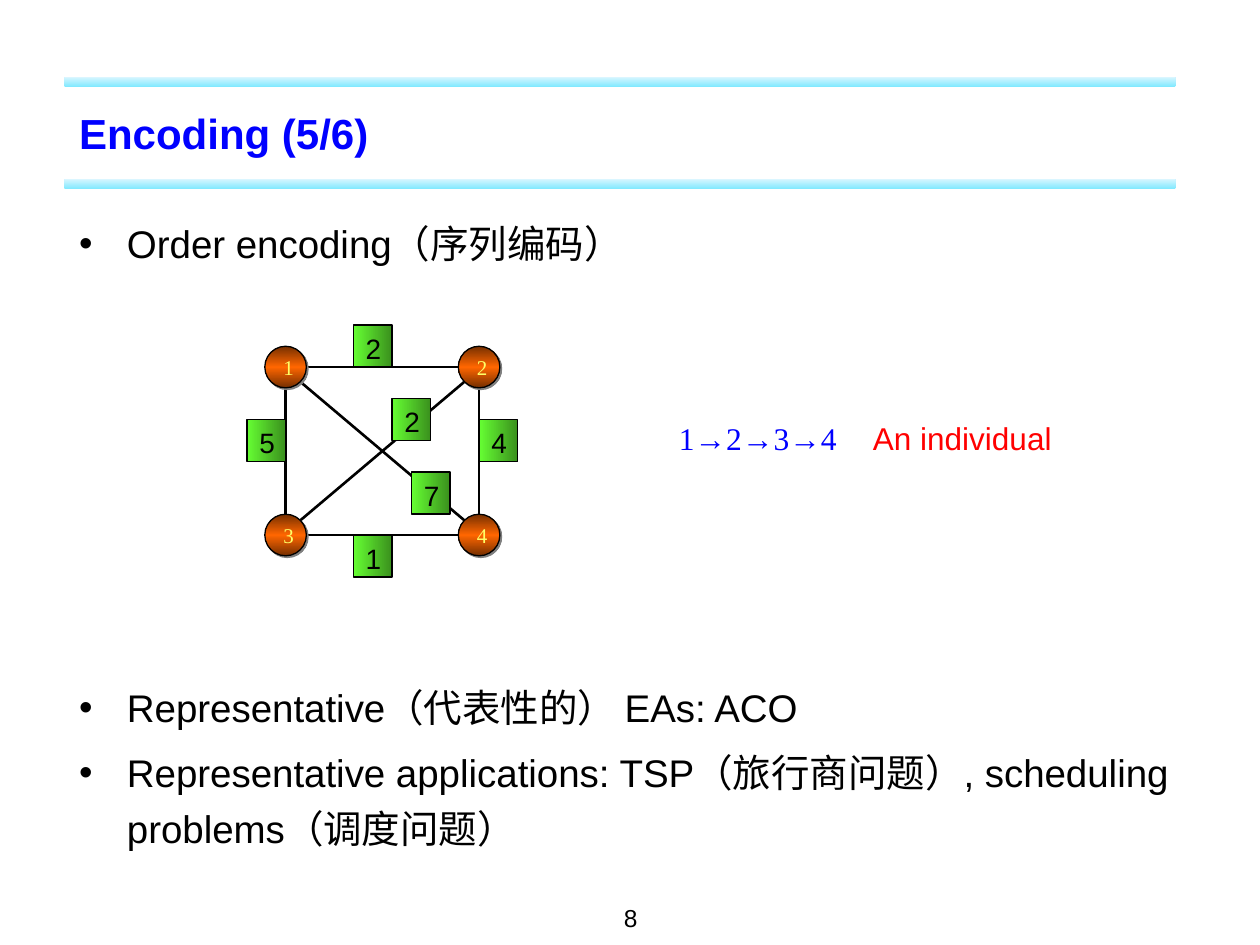
import math

import lxml.etree
import pptx
import pptx.dml.color
import pptx.enum.shapes
import pptx.enum.text
import pptx.oxml
import pptx.oxml.ns
import pptx.util

COLUMNS, ROWS = 100, 75
CELL = pptx.util.Inches(10) / COLUMNS
SHAPES = pptx.enum.shapes.MSO_SHAPE
ALIGN = pptx.enum.text.PP_ALIGN
ANCHOR = pptx.enum.text.MSO_ANCHOR
NAMESPACE = pptx.oxml.ns.nsdecls("a")
GRAPH_COLUMNS, GRAPH_ROWS = 7, 6
NODE_DIAMETER = 3.3


def cells(*lengths):
    return [pptx.util.Emu(round(length * CELL)) for length in lengths]


def color(value):
    return pptx.dml.color.RGBColor.from_string(value)


def style_font(font, size, name, value, bold=False):
    font.size = pptx.util.Pt(size)
    font.name = name
    font.color.rgb = color(value)
    font.bold = bold


def fill_gradient(shape, stops, angle):
    shape.fill.gradient()
    gradient = shape._element.spPr.find(pptx.oxml.ns.qn("a:gradFill"))
    entries = "".join(
        f'<a:gs pos="{position * 1000}"><a:srgbClr val="{value}"/></a:gs>'
        for position, value in stops
    )
    gradient.getparent().replace(gradient, pptx.oxml.parse_xml(
        f'<a:gradFill {NAMESPACE} rotWithShape="1"><a:gsLst>{entries}</a:gsLst>'
        f'<a:lin ang="{angle * 60000}" scaled="0"/></a:gradFill>'
    ))


def add_block(slide, kind, box, stops, angle, outlined=True):
    shape = slide.shapes.add_shape(kind, *cells(*box))
    shape.shadow.inherit = False
    fill_gradient(shape, stops, angle)
    if outlined:
        shape.line.color.rgb = color("000000")
        shape.line.width = pptx.util.Pt(0.75)
    else:
        shape.line.fill.background()
    return shape


def add_text(slide, box, runs, size, align=ALIGN.LEFT, wrap=True,
             anchor=ANCHOR.TOP, bold=False):
    frame = slide.shapes.add_textbox(*cells(*box)).text_frame
    frame.word_wrap = wrap
    frame.vertical_anchor = anchor
    paragraph = frame.paragraphs[0]
    paragraph.alignment = align
    for text, name, value in runs:
        run = paragraph.add_run()
        run.text = text
        style_font(run.font, size, name, value, bold)


def add_header(slide, box, title):
    left, top, width, height = box
    bar = 0.8
    for bar_top in (top + height - bar, top):
        add_block(slide, SHAPES.ROUNDED_RECTANGLE, (left, bar_top, width, bar),
                  [(0, "80E9FF"), (100, "DAF6FF")], 270, outlined=False)
    add_text(slide, (left + 0.2, top + 2.1, width + 1.4, 4.7),
             [(title, "Arial", "0000FF")], 24, anchor=ANCHOR.MIDDLE, bold=True)


def add_bullets(slide, box, texts, line_spacing):
    frame = slide.shapes.add_textbox(*cells(*box)).text_frame
    frame.word_wrap = True
    frame.text = "\n".join(texts)
    indent = cells(3.8)[0]
    for index, paragraph in enumerate(frame.paragraphs):
        properties = paragraph._p.get_or_add_pPr()
        properties.set("marL", str(indent))
        properties.set("indent", str(-indent))
        paragraph.line_spacing = line_spacing
        if index:
            paragraph.space_before = pptx.util.Pt(5.5)
        bullet_color = lxml.etree.SubElement(properties, pptx.oxml.ns.qn("a:buClr"))
        lxml.etree.SubElement(bullet_color, pptx.oxml.ns.qn("a:srgbClr"), val="000000")
        lxml.etree.SubElement(properties, pptx.oxml.ns.qn("a:buFont"), typeface="Arial")
        lxml.etree.SubElement(properties, pptx.oxml.ns.qn("a:buChar"), char="•")
        for run in paragraph.runs:
            style_font(run.font, 22, "Arial", "000000")


def label_shape(shape, text, size, name, value):
    frame = shape.text_frame
    frame.word_wrap = False
    frame.text = text
    paragraph = frame.paragraphs[0]
    paragraph.alignment = ALIGN.LEFT
    style_font(paragraph.runs[0].font, size, name, value)
    return frame


def add_node(slide, center, text):
    left, top = (length - NODE_DIAMETER / 2 for length in center)
    node = add_block(slide, SHAPES.OVAL, (left, top, NODE_DIAMETER, NODE_DIAMETER),
                     [(0, "762F00"), (50, "FF6600"), (100, "762F00")], 90)
    effects = node._element.spPr.find(pptx.oxml.ns.qn("a:effectLst"))
    effects.append(pptx.oxml.parse_xml(
        f'<a:outerShdw {NAMESPACE} blurRad="0" dist="{pptx.util.Pt(1.4)}" '
        'dir="2700000" algn="ctr" rotWithShape="0">'
        '<a:srgbClr val="808080"/></a:outerShdw>'
    ))
    frame = label_shape(node, text, 12, "Times New Roman", "FFFF66")
    frame.vertical_anchor = ANCHOR.MIDDLE


def add_edge(slide, start, end):
    steps = [(b > a) - (b < a) for a, b in zip(start, end)]
    reach = NODE_DIAMETER / 2 / math.hypot(*steps)
    points = [a + step * reach for a, step in zip(start, steps)]
    points += [b - step * reach for b, step in zip(end, steps)]
    edge = slide.shapes.add_connector(
        pptx.enum.shapes.MSO_CONNECTOR.STRAIGHT, *cells(*points))
    edge.line.color.rgb = color("000000")
    edge.line.width = pptx.util.Pt(1.5)
    lxml.etree.SubElement(edge._element.spPr, pptx.oxml.ns.qn("a:effectLst"))


def add_graph(slide, box):
    left, top, width, height = box
    column, row = width / GRAPH_COLUMNS, height / GRAPH_ROWS
    centers = {
        text: (left + x * column, top + y * row)
        for text, x, y in (("1", 1, 1), ("4", 6, 5), ("3", 1, 5), ("2", 6, 1))
    }
    for start, end in ("12", "24", "41", "23", "43", "31"):
        add_edge(slide, centers[start], centers[end])
    for text, center in centers.items():
        add_node(slide, center, text)
    for text, x, y in (("2", 2.75, 0), ("5", 0, 2.25), ("1", 2.75, 5),
                       ("4", 6, 2.25), ("2", 3.75, 1.75), ("7", 4.25, 3.5)):
        weight = add_block(slide, SHAPES.RECTANGLE,
                           (left + x * column, top + y * row, column, row),
                           [(0, "66FF33"), (100, "3A901D")], 0)
        frame = label_shape(weight, text, 16, "Arial", "000000")
        frame.vertical_anchor = ANCHOR.TOP
        frame.margin_bottom = 0


def add_individual(slide, box):
    left, top, width, height = box
    route = [(symbol, "Arial" if symbol == "→" else "Times New Roman", "0000FF")
             for symbol in "1→2→3→4"]
    add_text(slide, (left, top, 14.5, height), route, 18, wrap=False)
    add_text(slide, (left + width - 16.2, top, 16.2, height),
             [("An individual", "Arial", "FF0000")], 18, wrap=False)


def main():
    presentation = pptx.Presentation()
    presentation.slide_width, presentation.slide_height = cells(COLUMNS, ROWS)
    slide = presentation.slides.add_slide(presentation.slide_layouts[6])
    add_header(slide, (5.1, 6.1, 88.2, 8.9), "Encoding (5/6)")
    add_bullets(slide, (5.3, 17, 90.4, 5), ["Order encoding（序列编码）"], 1)
    add_bullets(slide, (5.3, 53.1, 90.4, 14.3), [
        "Representative（代表性的） EAs: ACO",
        "Representative applications: TSP（旅行商问题）, scheduling problems（调度问题）",
    ], 1.2)
    add_graph(slide, (19.6, 25.8, 21.5, 20))
    add_individual(slide, (52.9, 32.8, 31.6, 4))
    add_text(slide, (34.2, 71.2, 31.7, 3.8), [("8", "Arial", "000000")], 14,
             align=ALIGN.CENTER)
    presentation.save("out.pptx")


if __name__ == "__main__":
    main()
